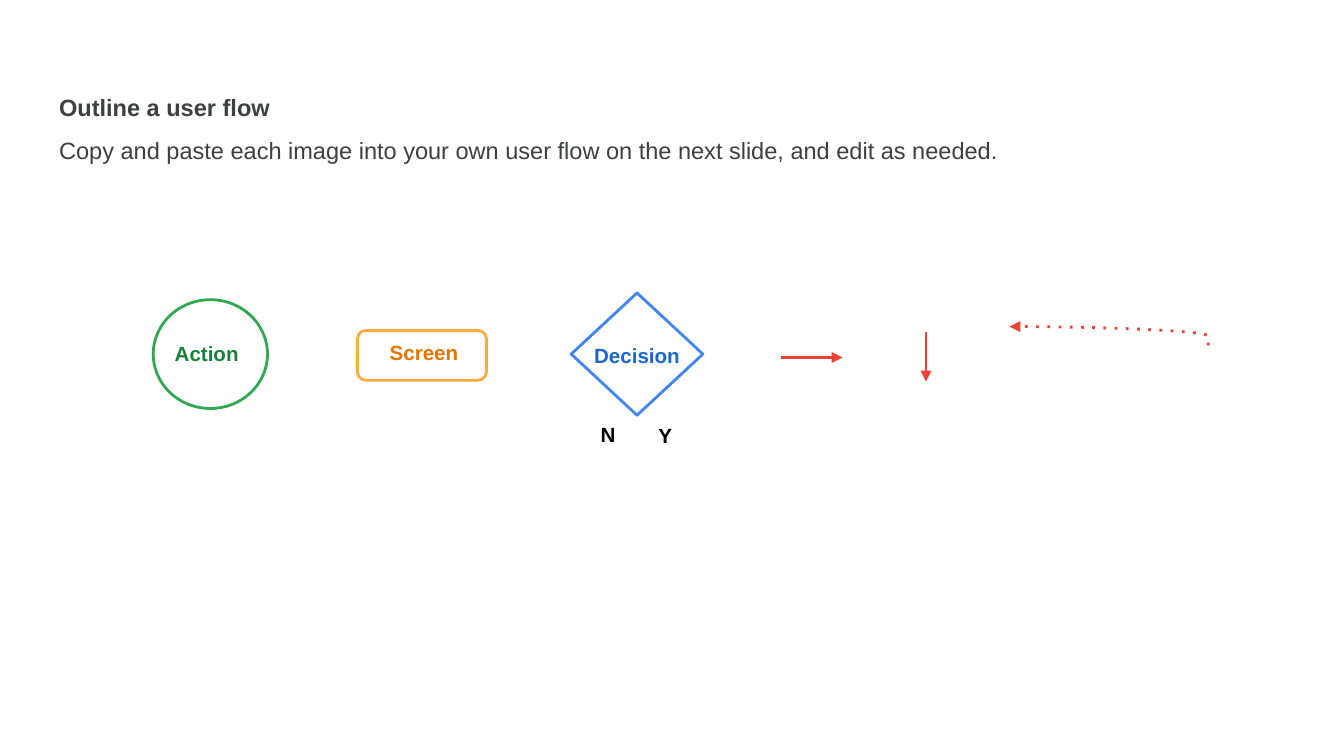
import pptx
import pptx.util
import pptx.dml.color
import pptx.enum.shapes
import pptx.enum.text
import pptx.oxml

Inches = pptx.util.Inches
Pt = pptx.util.Pt
Shape = pptx.enum.shapes.MSO_SHAPE
Connector = pptx.enum.shapes.MSO_CONNECTOR
Align = pptx.enum.text.PP_ALIGN


def color(value):
    return pptx.dml.color.RGBColor.from_string(value)


def add_child(parent, tag, **attributes):
    child = pptx.oxml.parse_xml(
        f'<a:{tag} xmlns:a="http://schemas.openxmlformats.org/drawingml/2006/main"/>')
    for name, value in attributes.items():
        child.set(name, value)
    parent.append(child)


class FlowSlide:
    font = "Arial"
    title_size, label_size = 12.6, 11
    title_color, arrow_color = "3C4043", "E94335"
    line_width = Pt(1.5)

    def __init__(self, deck):
        self.page = deck.slides.add_slide(deck.slide_layouts[5])
        self.parent = self.page.shapes

    def start_group(self):
        """Put the following outlines and labels in a new group."""
        self.parent = self.page.shapes.add_group_shape().shapes

    def prepare_frame(self, frame):
        frame.word_wrap = True
        frame.auto_size = pptx.enum.text.MSO_AUTO_SIZE.NONE
        frame.vertical_anchor = pptx.enum.text.MSO_ANCHOR.TOP
        frame.margin_left = frame.margin_right = Inches(0.1)
        frame.margin_top = frame.margin_bottom = Inches(0.1)

    def format_para(self, para, size, text_color, bold, align):
        para.alignment = align
        for span in para.runs:
            span.font.name = self.font
            span.font.size = Pt(size)
            span.font.bold = bold
            span.font.color.rgb = color(text_color)

    def title(self, text, left, top, width, height):
        box = self.page.shapes.title
        box.left, box.top = Inches(left), Inches(top)
        box.width, box.height = Inches(width), Inches(height)
        frame = box.text_frame
        self.prepare_frame(frame)
        frame.text = text
        for index, para in enumerate(frame.paragraphs):
            para.line_spacing = 1.5
            self.format_para(para, self.title_size, self.title_color,
                             index == 0, Align.LEFT)

    def outline(self, kind, line_color, left, top, width, height):
        shape = self.parent.add_shape(
            kind, Inches(left), Inches(top), Inches(width), Inches(height))
        shape.shadow.inherit = False
        shape.fill.background()
        shape.line.color.rgb = color(line_color)
        shape.line.width = self.line_width

    def label(self, text, text_color, left, top, width, height,
              align=Align.CENTER):
        box = self.parent.add_textbox(
            Inches(left), Inches(top), Inches(width), Inches(height))
        self.prepare_frame(box.text_frame)
        box.text_frame.text = text
        self.format_para(box.text_frame.paragraphs[0], self.label_size,
                         text_color, True, align)

    def arrow(self, x1, y1, x2, y2, kind=Connector.STRAIGHT, dotted=False):
        arrow = self.page.shapes.add_connector(
            kind, Inches(x1), Inches(y1), Inches(x2), Inches(y2))
        arrow.line.color.rgb = color(self.arrow_color)
        arrow.line.width = self.line_width
        properties = arrow._element.spPr
        if dotted:
            add_child(properties.ln, "prstDash", val="dot")
        add_child(properties.ln, "tailEnd", type="triangle")
        add_child(properties, "effectLst")
        return properties

    def return_arrow(self, left, top, right, bottom):
        """Dotted curve from the lower right back to the upper left."""
        properties = self.arrow(left, top, right, bottom, Connector.CURVE, True)
        properties.xfrm.set("rot", "10800000")
        guides = properties.prstGeom.get_or_add_avLst()
        add_child(guides, "gd", name="adj1", fmla="val 0")


def main():
    # Widescreen page, 16 to 9
    deck = pptx.Presentation()
    deck.slide_width = Inches(10)
    deck.slide_height = deck.slide_width * 9 // 16
    flow = FlowSlide(deck)

    # Heading and instruction
    flow.title("Outline a user flow\nCopy and paste each image into your own "
               "user flow on the next slide, and edit as needed.",
               0.34, 0.49, 9.32, 0.72)

    # Action
    flow.start_group()
    flow.outline(Shape.OVAL, "33A853", 1.14, 2.23, 0.85, 0.81)
    flow.label("Action ", "188038", 1.01, 2.44, 1.1, 0.39)

    # Screen
    flow.start_group()
    flow.outline(Shape.ROUNDED_RECTANGLE, "FFAB40", 2.66, 2.46, 0.96, 0.37)
    flow.label("Screen", "E37400", 2.53, 2.43, 1.25, 0.56)

    # Arrows
    flow.arrow(5.81, 2.66, 6.27, 2.66)
    flow.arrow(6.89, 2.47, 6.89, 2.84)
    flow.return_arrow(7.51, 2.43, 8.99, 2.57)

    # Decision with its two answers
    flow.start_group()
    flow.outline(Shape.DIAMOND, "4285F4", 4.25, 2.18, 0.98, 0.91)
    flow.label("Decision", "1967D2", 4.19, 2.45, 1.1, 0.44)
    flow.label("Y", "000000", 4.8, 3.05, 0.31, 0.24, Align.LEFT)
    flow.label("N", "000000", 4.37, 3.04, 0.31, 0.4, Align.LEFT)

    deck.save("out.pptx")


if __name__ == "__main__":
    main()
